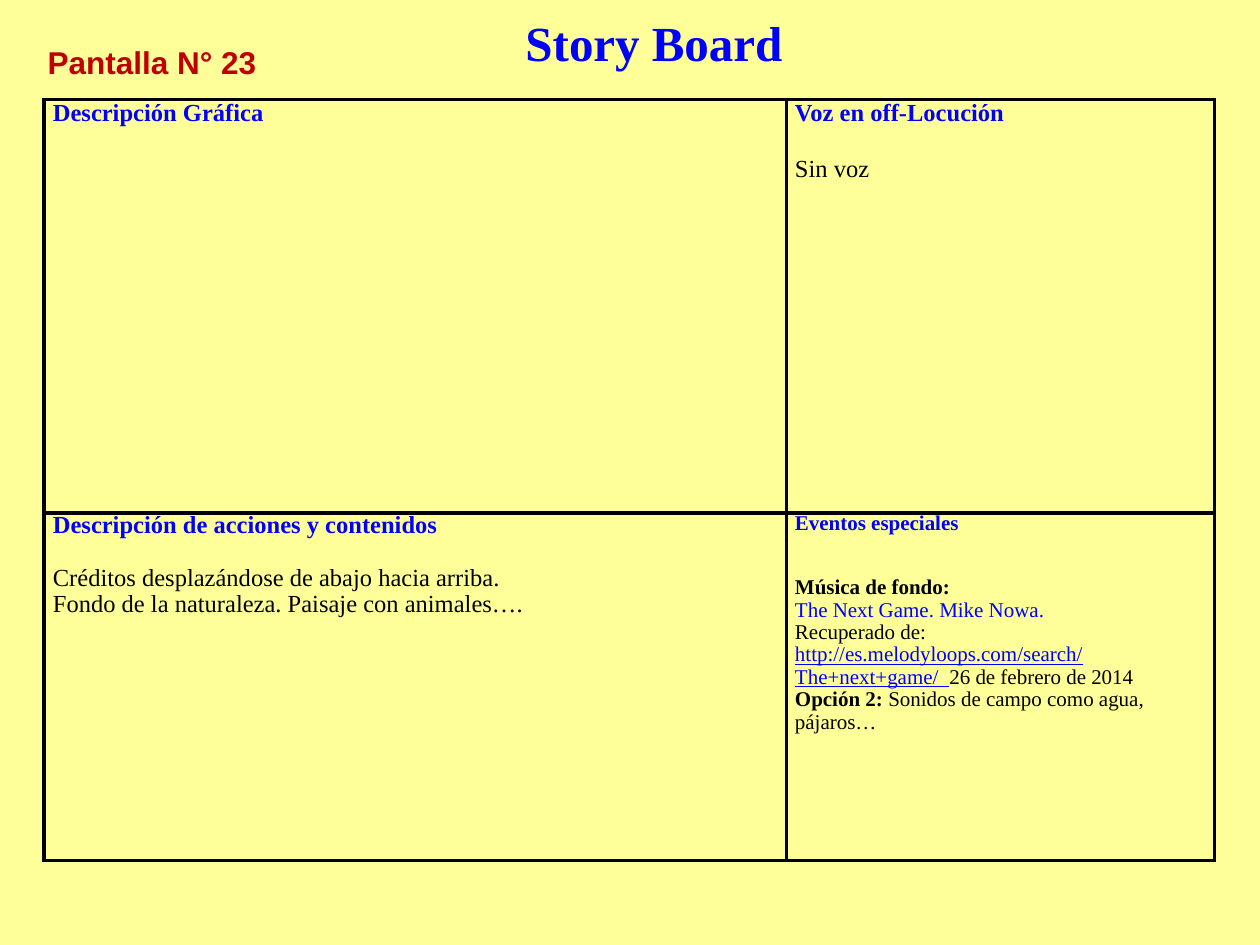
from lxml import etree
from pptx import Presentation
from pptx import util as u
from pptx.dml.color import RGBColor
from pptx.enum import text
from pptx.oxml.ns import qn

YELLOW = RGBColor(0xFF, 0xFF, 0x99)
BLUE = RGBColor(0x00, 0x00, 0xFF)
BLACK = RGBColor(0x00, 0x00, 0x00)
RED = RGBColor(0xC0, 0x00, 0x00)
SERIF = "Times New Roman"
SANS = "Arial"

TITLE_ONLY = 5
COLUMN_WIDTHS = (5.89, 3.4)
ROW_HEIGHTS = (3.28, 2.76)


def add_run(paragraph, words, size, color, bold=False, underline=False, font=SERIF):
    run = paragraph.add_run()
    run.text = words
    run.font.name = font
    run.font.size = u.Pt(size)
    run.font.color.rgb = color
    run.font.bold = bold
    run.font.underline = underline


def place(shape, left, top, width, height):
    shape.left, shape.top = u.Inches(left), u.Inches(top)
    shape.width, shape.height = u.Inches(width), u.Inches(height)


def add_title(slide, words):
    title = slide.shapes.title
    place(title, 4.06, 0, 2.26, 0.88)
    frame = title.text_frame
    frame.auto_size = text.MSO_AUTO_SIZE.NONE
    frame.vertical_anchor = text.MSO_ANCHOR.TOP
    frame.margin_top = u.Inches(0.1)
    paragraph = frame.paragraphs[0]
    paragraph.alignment = text.PP_ALIGN.CENTER
    add_run(paragraph, words, 28, BLUE, bold=True)


def add_screen_label(slide, words):
    label = slide.shapes.add_textbox(*map(u.Inches, (0.28, 0.29, 1.87, 0.4)))
    label.text_frame.word_wrap = False
    add_run(label.text_frame.paragraphs[0], words, 18, RED, bold=True, font=SANS)


def set_borders(cell, width, color):
    properties = cell._tc.get_or_add_tcPr()
    for position, side in enumerate(("lnL", "lnR", "lnT", "lnB")):
        line = etree.Element(qn(f"a:{side}"), w=str(u.Pt(width)))
        fill = etree.SubElement(line, qn("a:solidFill"))
        etree.SubElement(fill, qn("a:srgbClr"), val=str(color))
        properties.insert(position, line)


def fill_cell(cell, heading, lines, size, gap, spacing):
    """Write a blue heading, then lines of runs that start gap points below it."""
    cell.fill.background()
    set_borders(cell, 2.25, BLACK)
    cell.margin_left = cell.margin_right = u.Inches(0.07)
    cell.margin_top = cell.margin_bottom = 0
    frame = cell.text_frame
    paragraph = frame.paragraphs[0]
    paragraph.line_spacing = spacing
    add_run(paragraph, heading, size, BLUE, bold=True)
    for index, runs in enumerate(lines):
        paragraph = frame.add_paragraph()
        paragraph.line_spacing = spacing
        paragraph.space_before = u.Pt(0 if index else gap)
        for words, color, bold, underline in runs:
            add_run(paragraph, words, size, color, bold, underline)


def plain(words, color=BLACK):
    return words, color, False, False


def strong(words):
    return words, BLACK, True, False


def add_storyboard(slide):
    frame = slide.shapes.add_table(
        len(ROW_HEIGHTS), len(COLUMN_WIDTHS), u.Inches(0.35), u.Inches(0.79),
        u.Inches(sum(COLUMN_WIDTHS)), u.Inches(sum(ROW_HEIGHTS)))
    table = frame.table
    table.first_row = table.horz_banding = False
    for column, width in zip(table.columns, COLUMN_WIDTHS):
        column.width = u.Inches(width)
    for row, height in zip(table.rows, ROW_HEIGHTS):
        row.height = u.Inches(height)

    actions = [
        [plain("Créditos desplazándose de abajo hacia arriba.")],
        [plain("Fondo de la naturaleza. Paisaje con animales….")],
    ]
    events = [
        [strong("Música de fondo:")],
        [plain("The Next Game. Mike Nowa.", BLUE)],
        [plain("Recuperado de:")],
        [("http://es.melodyloops.com/search/The+next+game/  ", BLUE, False, True),
         plain("26 de febrero de 2014")],
        [strong("Opción 2:"), plain(" Sonidos de campo como agua, pájaros…")],
    ]
    fill_cell(table.cell(0, 0), "Descripción Gráfica", [], 14, 0, 1.0)
    fill_cell(table.cell(0, 1), "Voz en off-Locución", [[plain("Sin voz")]], 14, 16.4, 1.0)
    fill_cell(table.cell(1, 0), "Descripción de acciones y contenidos", actions, 14, 15.4, 0.96)
    fill_cell(table.cell(1, 1), "Eventos especiales", events, 12, 23.8, 0.96)


def main():
    presentation = Presentation()
    presentation.slide_width, presentation.slide_height = u.Inches(10), u.Inches(7.5)
    slide = presentation.slides.add_slide(presentation.slide_layouts[TITLE_ONLY])
    slide.background.fill.solid()
    slide.background.fill.fore_color.rgb = YELLOW
    add_storyboard(slide)
    add_title(slide, "Story Board")
    add_screen_label(slide, "Pantalla N° 23")
    presentation.save("out.pptx")


if __name__ == "__main__":
    main()
